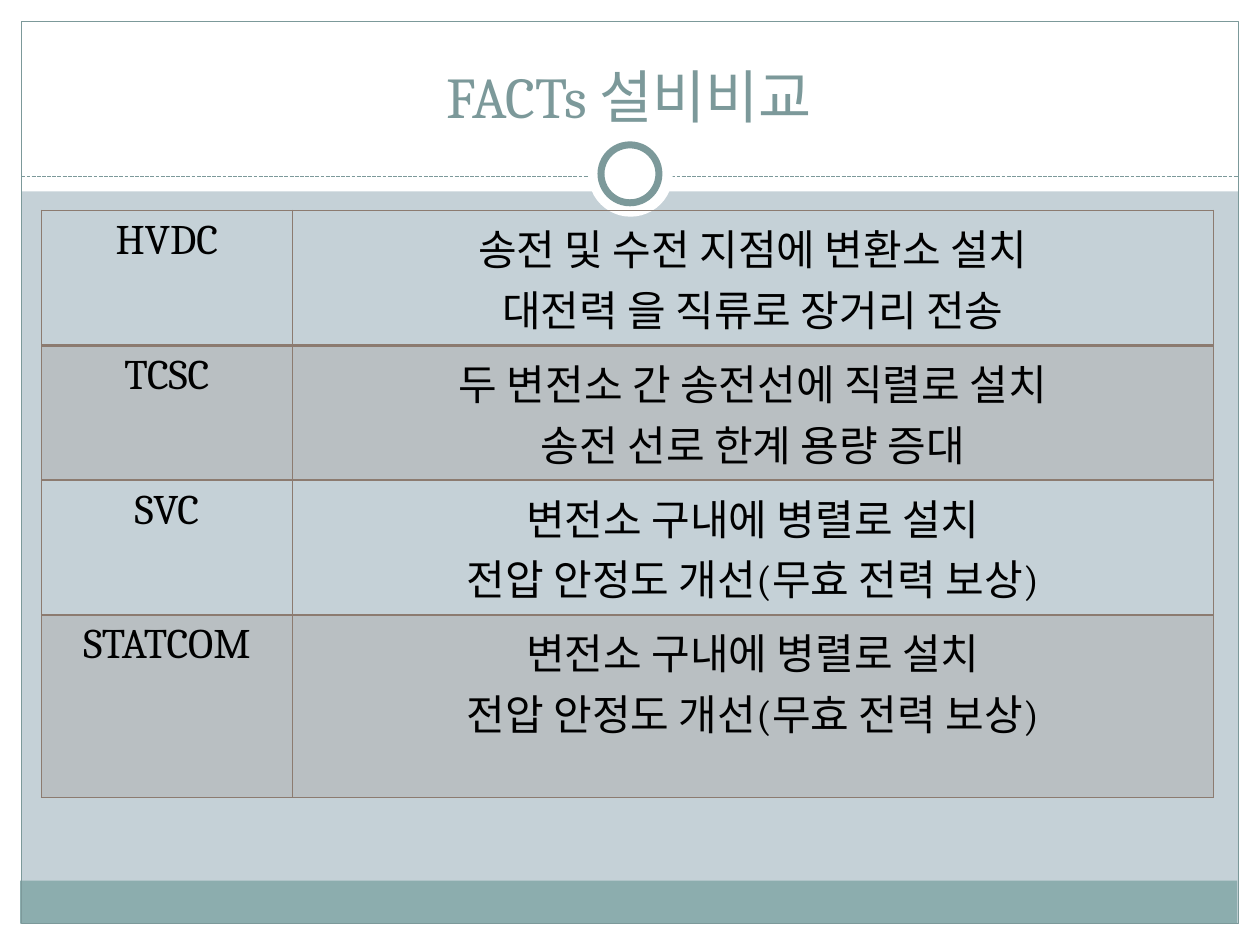
"""Build a slide comparing FACTs power equipment in a table."""
from lxml.etree import SubElement
from pptx import Presentation
from pptx.dml.color import RGBColor
from pptx.enum.dml import MSO_LINE
from pptx.enum.shapes import MSO_CONNECTOR, MSO_SHAPE
from pptx.enum.text import MSO_ANCHOR, PP_ALIGN
from pptx.oxml.ns import qn
from pptx.util import Inches, Pt

COLORS = {"white": "FFFFFF", "back": "C5D1D7", "teal": "7C999A",
          "footer": "8CADAE", "brown": "8C7B70", "black": "000000"}
FONT = "Cambria"
TITLE = "FACTs 설비비교"
SHUNT = ["변전소 구내에 병렬로 설치", "전압 안정도 개선(무효 전력 보상)"]
EQUIPMENT = [
    ("HVDC", ["송전 및 수전 지점에 변환소 설치", "대전력 을 직류로 장거리 전송"]),
    ("TCSC", ["두 변전소 간 송전선에 직렬로 설치", "송전 선로 한계 용량 증대"]),
    ("SVC", SHUNT),
    ("STATCOM", SHUNT),
]
COLUMN_WIDTHS = [1.99, 7.31]
ROW_HEIGHTS = [1.07, 1.07, 1.07, 1.45]
RECT, OVAL = MSO_SHAPE.RECTANGLE, MSO_SHAPE.OVAL
BANDS = [
    (RECT, (0, 7.33, 10, 0.17), "white", None, 0),
    (RECT, (0, 0, 10, 1.52), "white", None, 0),
    (RECT, (0, 0, 0.17, 7.5), "white", None, 0),
    (RECT, (9.83, 0, 0.17, 7.5), "white", None, 0),
    (RECT, (0.16, 6.99, 9.66, 0.34), "footer", None, 0),
    (RECT, (0.17, 0.17, 9.66, 7.16), None, "teal", 0.75),
]
RINGS = [
    (OVAL, (4.67, 1.05, 0.67, 0.67), "white", None, 0),
    (OVAL, (4.77, 1.15, 0.46, 0.46), "white", "teal", 4),
]


def color(name):
    return RGBColor.from_string(COLORS[name])


def add_decor(slide, kind, box, fill, line, width):
    shape = slide.shapes.add_shape(kind, *map(Inches, box))
    shape.shadow.inherit = False
    if fill:
        shape.fill.solid()
        shape.fill.fore_color.rgb = color(fill)
    else:
        shape.fill.background()
    if line:
        shape.line.color.rgb = color(line)
        shape.line.width = Pt(width)
    else:
        shape.line.fill.background()


def add_divider(slide):
    divider = slide.shapes.add_connector(
        MSO_CONNECTOR.STRAIGHT, *map(Inches, (0.17, 1.4, 9.83, 1.4)))
    divider.line.color.rgb = color("teal")
    divider.line.width = Pt(0.75)
    divider.line.dash_style = MSO_LINE.SQUARE_DOT
    SubElement(divider.element.spPr, qn("a:effectLst"))


def write(text_frame, lines, size, color_name):
    text_frame.text = "\n".join(lines)
    for paragraph in text_frame.paragraphs:
        paragraph.alignment = PP_ALIGN.CENTER
        for run in paragraph.runs:
            run.font.name = FONT
            run.font.size = Pt(size)
            run.font.bold = False
            run.font.color.rgb = color(color_name)


def style_cell(cell, row):
    properties = cell._tc.get_or_add_tcPr()
    widths = {"L": 1, "R": 1, "T": 2 if row == 1 else 1, "B": 2 if row == 0 else 1}
    for side, width in widths.items():
        border = SubElement(properties, qn(f"a:ln{side}"), w=str(Pt(width)))
        SubElement(SubElement(border, qn("a:solidFill")), qn("a:srgbClr"),
                   val=COLORS["brown"])
    if row % 2:
        cell.fill.solid()
        cell.fill.fore_color.rgb = color("brown")
        tint = properties.find(qn("a:solidFill")).find(qn("a:srgbClr"))
        SubElement(tint, qn("a:alpha"), val="20000")
    else:
        cell.fill.background()


def add_equipment_table(slide):
    table = slide.shapes.add_table(
        len(EQUIPMENT), 2, Inches(0.33), Inches(1.67),
        Inches(sum(COLUMN_WIDTHS)), Inches(sum(ROW_HEIGHTS))).table
    table.first_row = table.horz_banding = False
    for column, width in zip(table.columns, COLUMN_WIDTHS):
        column.width = Inches(width)
    for row, (name, features) in enumerate(EQUIPMENT):
        table.rows[row].height = Inches(ROW_HEIGHTS[row])
        for column, lines in enumerate(([name], features)):
            cell = table.cell(row, column)
            write(cell.text_frame, lines, 24, "black")
            style_cell(cell, row)


presentation = Presentation()
presentation.slide_width, presentation.slide_height = Inches(10), Inches(7.5)
slide = presentation.slides.add_slide(presentation.slide_layouts[5])
slide.background.fill.solid()
slide.background.fill.fore_color.rgb = color("back")
for band in BANDS:
    add_decor(slide, *band)
add_divider(slide)
for ring in RINGS:
    add_decor(slide, *ring)

title = slide.shapes.title
slide.shapes.element.append(title.element)
title.left, title.top, title.width, title.height = map(Inches, (0.33, 0.25, 9.33, 0.83))
title.text_frame.vertical_anchor = MSO_ANCHOR.BOTTOM
write(title.text_frame, [TITLE], 33, "teal")
add_equipment_table(slide)
presentation.save("out.pptx")
